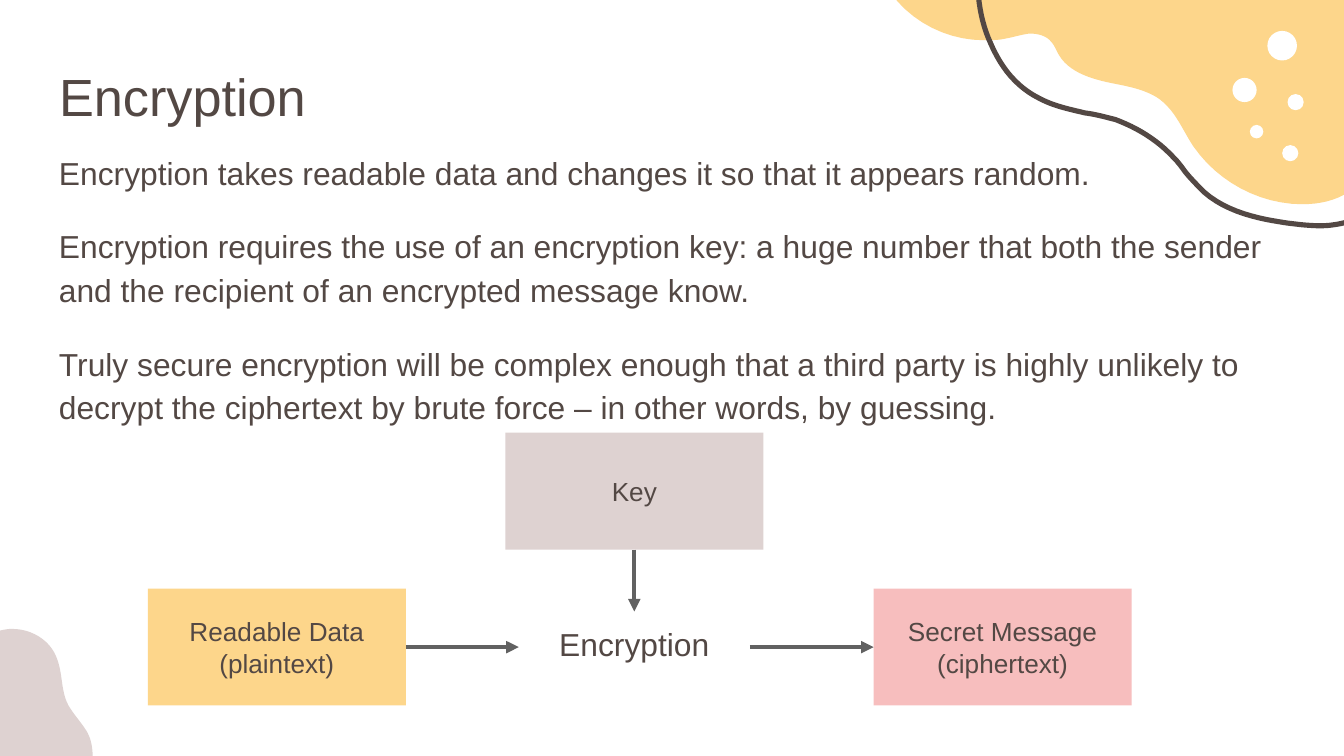
from lxml import etree
from pptx import Presentation
from pptx.dml.color import RGBColor
from pptx.enum import shapes, text
from pptx.oxml import ns
from pptx.util import Inches, Pt

INK, GREY = "534844", "616161"
YELLOW, PINK, TAUPE, WHITE = "FDD68B", "F7BEBE", "DED2D1", "FFFFFF"

TITLE = "Encryption"
BODY = [
    "Encryption takes readable data and changes it so that it appears random.",
    "Encryption requires the use of an encryption key: a huge number that both "
    "the sender and the recipient of an encrypted message know.",
    "Truly secure encryption will be complex enough that a third party is highly "
    "unlikely to decrypt the ciphertext by brute force – in other words, by guessing.",
]

# Flow diagram: label, left, top, fill
BOX_W, BOX_H = 1.92, 0.87
STEPS = [
    ("Readable Data (plaintext)", 1.1, 4.38, YELLOW),
    ("Secret Message (ciphertext)", 6.5, 4.38, PINK),
    ("Key", 3.76, 3.22, TAUPE),
]
PROCESS = ("Encryption", 3.86, 4.55, 1.72, 0.53)

# Decoration: a start point, then cubic curves (two controls and an end)
# or straight lines (an end only)
CORNER_BLOB = [
    (0.69, 5.75),
    (0.69, 5.65, 0.7, 5.54, 0.65, 5.45), (0.61, 5.38, 0.55, 5.32, 0.51, 5.25),
    (0.45, 5.14, 0.47, 5.01, 0.42, 4.89), (0.37, 4.76, 0.23, 4.68, 0.09, 4.68),
    (0.05, 4.68, 0.01, 4.69, -0.03, 4.7), (-0.22, 5.7),
]
TOP_BLOB = [
    (6.55, -0.19),
    (6.68, 0.11, 7, 0.3, 7.32, 0.3), (7.37, 0.3, 7.42, 0.3, 7.47, 0.29),
    (7.53, 0.28, 7.59, 0.26, 7.66, 0.25), (7.73, 0.25, 7.79, 0.27, 7.82, 0.31),
    (7.85, 0.34, 7.86, 0.38, 7.88, 0.41), (7.95, 0.53, 8.1, 0.58, 8.23, 0.61),
    (8.37, 0.64, 8.52, 0.66, 8.63, 0.74), (8.75, 0.83, 8.8, 0.97, 8.88, 1.09),
    (9.06, 1.35, 9.37, 1.52, 9.69, 1.52), (9.88, 1.52, 10.05, 1.46, 10.14, 1.32),
    (10.25, -0.22),
]
WAVE = [
    (7.27, -0.23),
    (7.27, -0.01, 7.3, 0.17, 7.37, 0.32), (7.45, 0.51, 7.57, 0.65, 7.73, 0.73),
    (7.84, 0.79, 7.95, 0.81, 8.07, 0.84), (8.15, 0.85, 8.22, 0.87, 8.3, 0.89),
    (8.46, 0.95, 8.61, 1.04, 8.73, 1.17), (8.77, 1.21, 8.79, 1.24, 8.82, 1.28),
    (8.86, 1.33, 8.91, 1.38, 8.96, 1.43), (9.13, 1.58, 9.37, 1.63, 9.58, 1.66),
    (9.66, 1.67, 9.74, 1.68, 9.83, 1.68), (9.89, 1.68, 9.96, 1.67, 10.03, 1.65),
    (10.15, 1.63, 10.26, 1.57, 10.35, 1.48),
]
DOTS = [  # centre x, centre y, diameter
    (9.54, 0.34, 0.22), (9.26, 0.67, 0.18), (9.64, 0.76, 0.12),
    (9.35, 0.98, 0.1), (9.6, 1.14, 0.12),
]


def colour(value):
    return RGBColor.from_string(value)


def paint(shape, fill):
    shape.shadow.inherit = False
    shape.fill.solid()
    shape.fill.fore_color.rgb = colour(fill)
    shape.line.fill.background()


def write(shape, paragraphs, size, align=text.PP_ALIGN.LEFT,
          anchor=text.MSO_ANCHOR.TOP, spacing=1.0, gap=0):
    frame = shape.text_frame
    frame.word_wrap = True
    frame.auto_size = text.MSO_AUTO_SIZE.NONE
    frame.vertical_anchor = anchor
    frame.margin_left = frame.margin_right = Inches(0.1)
    frame.margin_top = frame.margin_bottom = Inches(0.1)
    for index, words in enumerate(paragraphs):
        para = frame.add_paragraph() if index else frame.paragraphs[0]
        para.text = words
        para.alignment = align
        para.line_spacing = spacing
        para.space_before = Pt(gap if index else 0)
        para.font.name = "Arial"
        para.font.size = Pt(size)
        para.font.color.rgb = colour(INK)


def trace(outline, steps=12):
    """Turn an outline of curves and lines into a list of points."""
    points = [outline[0]]
    for segment in outline[1:]:
        if len(segment) == 2:
            points.append(segment)
            continue
        x0, y0 = points[-1]
        x1, y1, x2, y2, x3, y3 = segment
        for step in range(1, steps + 1):
            t = step / steps
            a, b, c, d = (1 - t) ** 3, 3 * t * (1 - t) ** 2, 3 * t * t * (1 - t), t ** 3
            points.append((a * x0 + b * x1 + c * x2 + d * x3,
                           a * y0 + b * y1 + c * y2 + d * y3))
    return points


def add_outline(page, outline, close=True):
    start, *rest = [(Inches(x), Inches(y)) for x, y in trace(outline)]
    builder = page.shapes.build_freeform(*start)
    builder.add_line_segments(rest, close=close)
    return builder.convert_to_shape()


def add_decoration(page):
    for outline, fill in ((CORNER_BLOB, TAUPE), (TOP_BLOB, YELLOW)):
        paint(add_outline(page, outline), fill)
    wave = add_outline(page, WAVE, close=False)
    wave.shadow.inherit = False
    wave.fill.background()
    wave.line.color.rgb = colour(INK)
    wave.line.width = Pt(2.75)
    for x, y, size in DOTS:
        dot = page.shapes.add_shape(
            shapes.MSO_SHAPE.OVAL, Inches(x - size / 2), Inches(y - size / 2),
            Inches(size), Inches(size))
        paint(dot, WHITE)


def add_arrow(page, *ends):
    arrow = page.shapes.add_connector(
        shapes.MSO_CONNECTOR.STRAIGHT, *[Inches(end) for end in ends])
    arrow.line.color.rgb = colour(GREY)
    arrow.line.width = Pt(2.25)
    properties = arrow.element.spPr
    etree.SubElement(properties.find(ns.qn("a:ln")), ns.qn("a:tailEnd"), type="triangle")
    etree.SubElement(properties, ns.qn("a:effectLst"))


def add_diagram(page):
    centred = {"align": text.PP_ALIGN.CENTER}
    for label, left, top, fill in STEPS:
        box = page.shapes.add_shape(
            shapes.MSO_SHAPE.RECTANGLE, Inches(left), Inches(top),
            Inches(BOX_W), Inches(BOX_H))
        paint(box, fill)
        write(box, [label], 14, anchor=text.MSO_ANCHOR.MIDDLE, **centred)

    label, left, top, width, height = PROCESS
    process = page.shapes.add_textbox(
        Inches(left), Inches(top), Inches(width), Inches(height))
    write(process, [label], 17, **centred)

    plain, secret, key = STEPS
    middle_x, middle_y = left + width / 2, plain[2] + BOX_H / 2
    add_arrow(page, plain[1] + BOX_W, middle_y, left, middle_y)
    add_arrow(page, middle_x, key[2] + BOX_H, middle_x, top)
    add_arrow(page, left + width, middle_y, secret[1], middle_y)


def main():
    deck = Presentation()
    deck.slide_width = Inches(10)
    deck.slide_height = Inches(10 * 9 / 16)
    page = deck.slides.add_slide(deck.slide_layouts[5])
    add_decoration(page)

    title = page.shapes.title
    title.left, title.top = Inches(0.34), Inches(0.38)
    title.width, title.height = Inches(9.32), Inches(0.63)
    write(title, [TITLE], 28)
    page.shapes.element.append(title.element)  # in front of the decoration

    body = page.shapes.add_textbox(
        Inches(0.34), Inches(1), Inches(9.32), Inches(2.28))
    write(body, BODY, 17, spacing=1.15, gap=16)
    add_diagram(page)
    deck.save("out.pptx")


if __name__ == "__main__":
    main()
